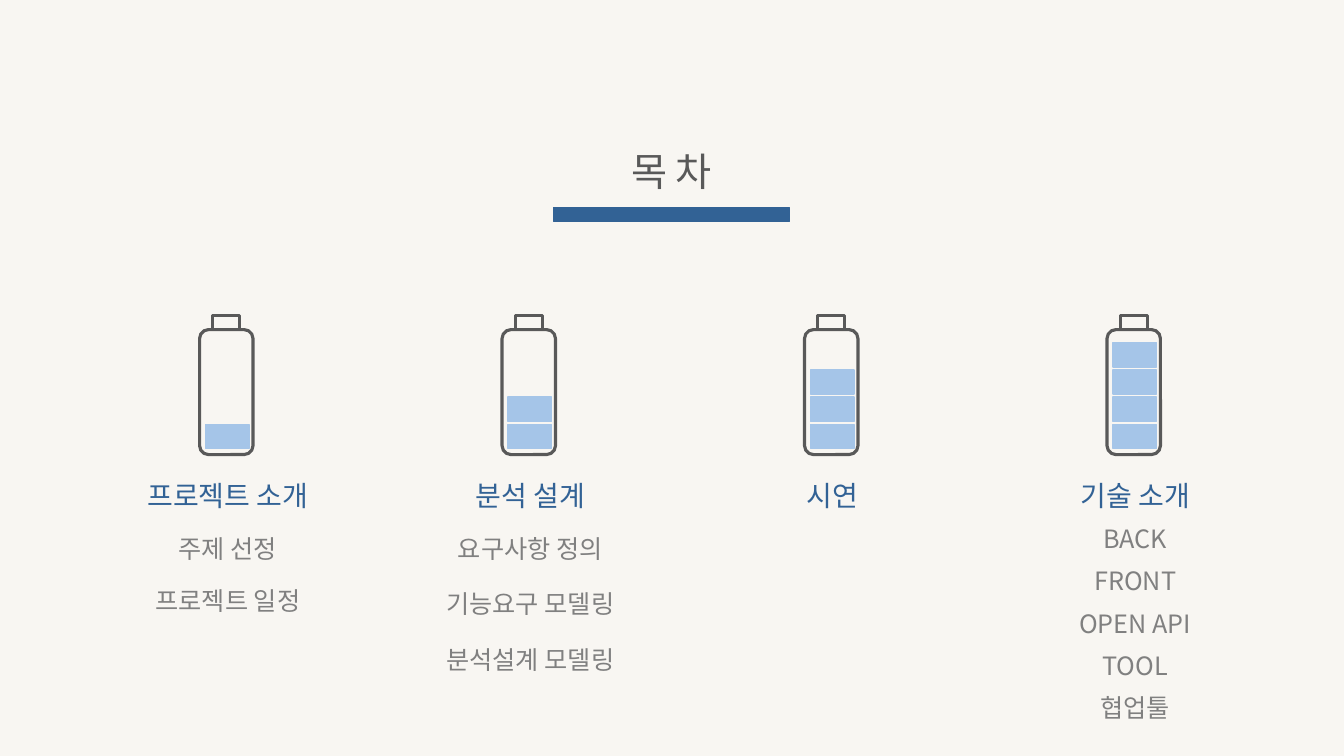
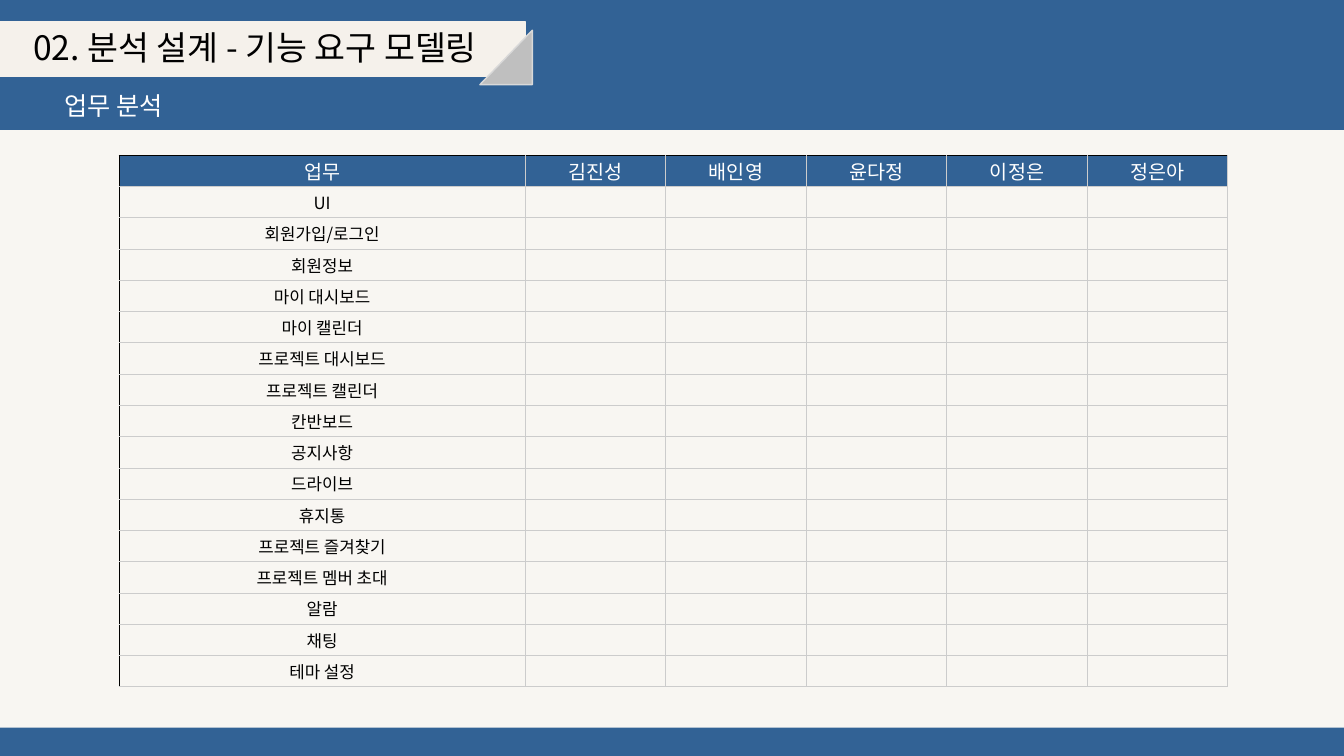
from dataclasses import dataclass

from lxml import etree
from pptx import Presentation
from pptx.dml.color import RGBColor
from pptx.enum.shapes import MSO_SHAPE
from pptx.enum.text import MSO_ANCHOR, MSO_AUTO_SIZE, PP_ALIGN
from pptx.oxml.ns import qn
from pptx.util import Inches, Pt

RECT = MSO_SHAPE.RECTANGLE
ROUND_RECT = MSO_SHAPE.ROUNDED_RECTANGLE
TRIANGLE = MSO_SHAPE.RIGHT_TRIANGLE
LEFT, CENTER = PP_ALIGN.LEFT, PP_ALIGN.CENTER
TOP, MIDDLE = MSO_ANCHOR.TOP, MSO_ANCHOR.MIDDLE
COMPARISON, TITLE_ONLY = 4, 5  # template layouts


@dataclass(frozen=True)
class Theme:
    font: str = "Noto Sans CJK KR"
    blue: str = "326295"
    light_blue: str = "A5C5E8"
    paper: str = "F8F6F2"
    label: str = "F5F1EB"
    dark: str = "595959"
    gray: str = "808080"
    fold: str = "BFBFBF"
    fold_edge: str = "D9D9D9"
    grid: str = "CCCCCC"
    black: str = "000000"
    white: str = "FFFFFF"
    cover_title: int = 28
    page_title: int = 24
    heading: int = 20
    body: int = 18
    table_head: int = 14
    table_body: int = 12


THEME = Theme()

# heading, top of the list, distance between its lines, list items
AGENDA = [
    ("프로젝트 소개", 5.07, 0.52, ["주제 선정", "프로젝트 일정"]),
    ("분석 설계", 5.04, 0.55, ["요구사항 정의", "기능요구 모델링", "분석설계 모델링"]),
    ("시연", 0, 0, []),
    ("기술 소개", 5.07, 0.42, ["BACK", "FRONT", "OPEN API", "TOOL", "협업툴"]),
]
MEMBERS = ["김진성", "배인영", "윤다정", "이정은", "정은아"]
TASKS = [
    "UI", "회원가입/로그인", "회원정보", "마이 대시보드", "마이 캘린더",
    "프로젝트 대시보드", "프로젝트 캘린더", "칸반보드", "공지사항", "드라이브",
    "휴지통", "프로젝트 즐겨찾기", "프로젝트 멤버 초대", "알람", "채팅", "테마 설정",
]


# --- shared helpers ---
def rgb(color):
    return RGBColor.from_string(color)


def style_para(para, size, color, align):
    para.alignment = align
    font = para.font
    font.size, font.bold, font.name = Pt(size), False, THEME.font
    font.color.rgb = rgb(color)
    # Hangul takes the East Asian typeface
    defaults = para._p.pPr.find(qn("a:defRPr"))
    etree.SubElement(defaults, qn("a:ea"), typeface=THEME.font)


def move(shape, box):
    shape.left, shape.top, shape.width, shape.height = map(Inches, box)


def write(shape, text, size, color, align=CENTER):
    frame = shape.text_frame
    frame.word_wrap = True
    frame.auto_size = MSO_AUTO_SIZE.NONE
    frame.vertical_anchor = TOP
    frame.text = text
    style_para(frame.paragraphs[0], size, color, align)


def add_text(page, box, text, size, color, align=CENTER):
    write(page.shapes.add_textbox(*map(Inches, box)), text, size, color, align)


def add_shape(page, kind, box, fill=None, line=None, weight=1):
    shape = page.shapes.add_shape(kind, *map(Inches, box))
    shape.shadow.inherit = False
    if fill:
        shape.fill.solid()
        shape.fill.fore_color.rgb = rgb(fill)
    else:
        shape.fill.background()
    if line:
        shape.line.color.rgb = rgb(line)
        shape.line.width = Pt(weight)
    else:
        shape.line.fill.background()
    return shape


def add_page(deck, layout, background):
    page = deck.slides.add_slide(deck.slide_layouts[layout])
    page.background.fill.solid()
    page.background.fill.fore_color.rgb = rgb(background)
    return page


def set_title(page, box, text, size, color, align):
    title = page.shapes.title
    move(title, box)
    write(title, text, size, color, align)
    title._element.getparent().append(title._element)  # in front of the bands


# --- agenda ---
def add_battery(page, left, top, charge):
    add_shape(page, ROUND_RECT, (left, top + 0.14, 0.53, 1.24), None, THEME.dark, 2.25)
    add_shape(page, RECT, (left + 0.13, top, 0.27, 0.14), None, THEME.dark, 2.25)
    for level in range(charge):
        cell_top = top + 1.08 - 0.27 * level
        add_shape(page, RECT, (left + 0.06, cell_top, 0.43, 0.24),
                  THEME.light_blue, THEME.light_blue)


def fill_list(holder, box, pitch, items):
    move(holder, box)
    frame = holder.text_frame
    frame.auto_size = MSO_AUTO_SIZE.NONE
    frame.vertical_anchor = TOP
    frame.margin_top = frame.margin_bottom = 0
    frame.text = "\n".join(items)
    for para in frame.paragraphs:
        para.line_spacing = Inches(pitch)
        para.space_before = Pt(0)
        properties = para._p.get_or_add_pPr()
        properties.set("marL", "0")
        properties.set("indent", "0")
        etree.SubElement(properties, qn("a:buNone"))
        style_para(para, THEME.body, THEME.gray, CENTER)


def build_agenda(deck):
    page = add_page(deck, COMPARISON, THEME.paper)
    holders = [holder for holder in page.placeholders
               if holder.placeholder_format.idx > 0]
    add_shape(page, RECT, (5.49, 2.06, 2.34, 0.14), THEME.blue, THEME.blue)
    set_title(page, (5.16, 1.41, 3, 0.58), "목 차",
              THEME.cover_title, THEME.dark, CENTER)
    for index, (heading, list_top, pitch, items) in enumerate(AGENDA):
        left = 0.76 + 3 * index
        add_battery(page, left + 1.22, 3.13, index + 1)
        add_text(page, (left, 4.7, 3, 0.45), heading, THEME.heading, THEME.blue)
        holder = holders[index]
        if items:
            fill_list(holder, (left, list_top, 3, pitch * len(items)), pitch, items)
        else:
            holder._element.getparent().remove(holder._element)


# --- task table ---
def set_borders(cell, left, top):
    properties = cell._tc.get_or_add_tcPr()
    colors = {"lnL": left, "lnR": THEME.grid, "lnT": top, "lnB": THEME.grid}
    for index, (side, color) in enumerate(colors.items()):
        line = etree.Element(qn("a:" + side), w=str(Pt(0.75)))
        fill = etree.SubElement(line, qn("a:solidFill"))
        etree.SubElement(fill, qn("a:srgbClr"), val=color)
        properties.insert(index, line)


def fill_cell(cell, text, is_head, is_first):
    cell.margin_left = cell.margin_right = Inches(0.02)
    cell.margin_top = cell.margin_bottom = Inches(0.01)
    cell.vertical_anchor = MIDDLE
    size = THEME.table_head if is_head else THEME.table_body
    para = cell.text_frame.paragraphs[0]
    if text:
        para.text = text
    style_para(para, size, THEME.white if is_head else THEME.black, CENTER)
    if not text:  # keeps empty rows low
        etree.SubElement(para._p, qn("a:endParaRPr"), sz=str(size * 100))
    if is_head:
        cell.fill.solid()
        cell.fill.fore_color.rgb = rgb(THEME.blue)
    else:
        cell.fill.background()
    set_borders(cell, THEME.black if is_first else THEME.grid,
                THEME.black if is_head else THEME.grid)


def add_task_table(page, box):
    rows = [["업무"] + MEMBERS] + [[task] + [""] * len(MEMBERS) for task in TASKS]
    width, height = box[2:]
    table = page.shapes.add_table(len(rows), len(rows[0]), *map(Inches, box)).table
    table.first_row = table.horz_banding = False
    task_width = 4.03
    for index, column in enumerate(table.columns):
        member_width = (width - task_width) / len(MEMBERS)
        column.width = Inches(member_width if index else task_width)
    for row_index, texts in enumerate(rows):
        table.rows[row_index].height = Inches(height / len(rows))
        for column_index, text in enumerate(texts):
            fill_cell(table.cell(row_index, column_index), text,
                      row_index == 0, column_index == 0)


def add_header(page, title, subtitle):
    add_shape(page, RECT, (0, 0.22, 5.21, 0.54), THEME.label, THEME.label)
    fold = add_shape(page, TRIANGLE, (4.76, 0.3, 0.52, 0.54),
                     THEME.fold, THEME.fold_edge)
    fold._element.spPr.find(qn("a:xfrm")).set("flipH", "1")
    set_title(page, (0.23, 0.22, 5.39, 0.51), title,
              THEME.page_title, THEME.black, LEFT)
    add_text(page, (0.54, 0.85, 3, 0.41), subtitle, THEME.body, THEME.white, LEFT)


def build_tasks(deck):
    page = add_page(deck, TITLE_ONLY, THEME.blue)
    add_shape(page, RECT, (0, 1.29, 13.33, 5.93), THEME.paper)
    add_header(page, "02. 분석 설계 - 기능 요구 모델링", "업무 분석")
    add_task_table(page, (1.18, 1.54, 11, 5.28))


def main():
    deck = Presentation()
    deck.slide_width, deck.slide_height = Inches(13.33), Inches(7.5)
    build_agenda(deck)
    build_tasks(deck)
    deck.save("out.pptx")


if __name__ == "__main__":
    main()
